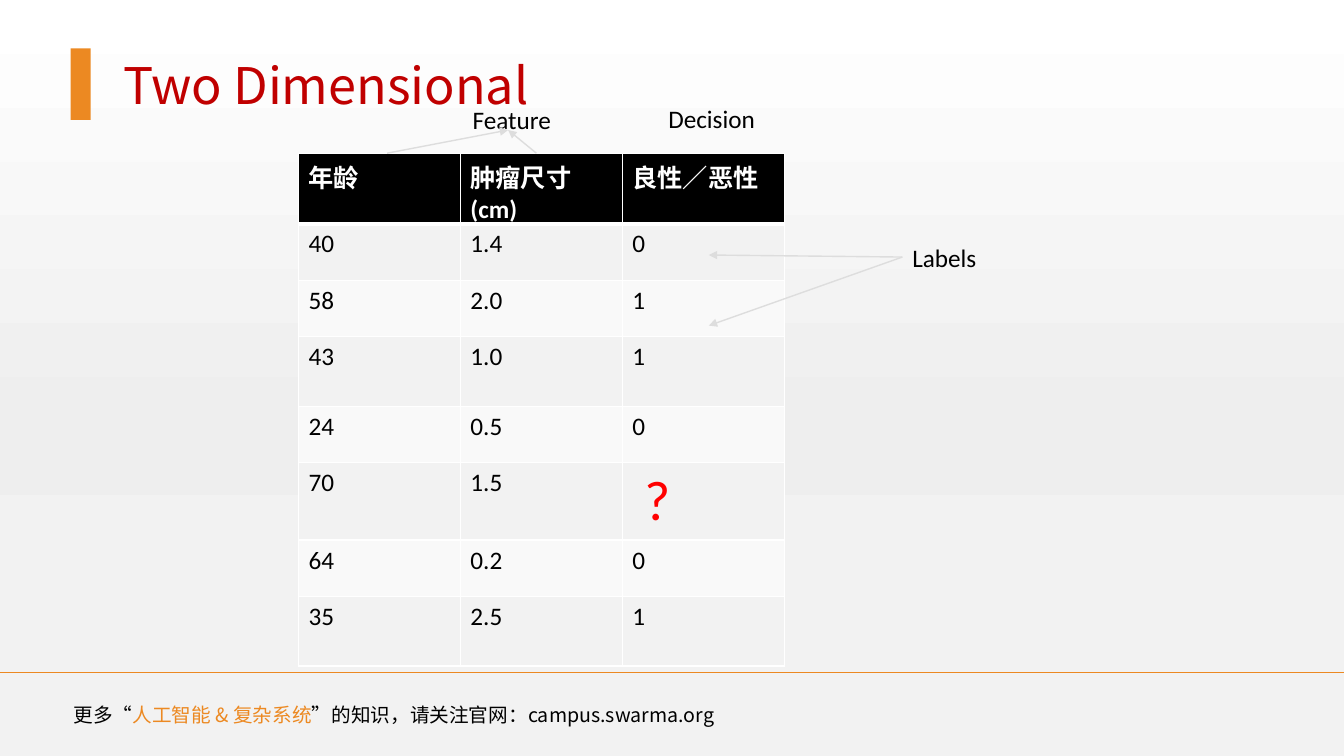
from lxml import etree
from pptx import Presentation
from pptx import util as u
from pptx.dml import color
from pptx.enum import shapes, text
from pptx.oxml import ns

CJK = "Noto Sans CJK SC"
LATIN = "Calibri"
ORANGE = "EC8922"
PALE = "DDDDDD"
ROW_HEIGHTS = [0.56, 0.56, 0.56, 0.69, 0.56, 0.69, 0.56, 0.69]
ROWS = [
    ("年龄", "肿瘤尺寸(cm)", "良性／恶性"),
    ("40", "1.4", "0"),
    ("58", "2.0", "1"),
    ("43", "1.0", "1"),
    ("24", "0.5", "0"),
    ("70", "1.5", "?"),
    ("64", "0.2", "0"),
    ("35", "2.5", "1"),
]


def rgb(hex_color):
    """Return the colour for a hex string."""
    return color.RGBColor.from_string(hex_color)


def sub(parent, tag, **attrs):
    """Append a DrawingML element to a parent."""
    el = etree.SubElement(parent, ns.qn(tag))
    for name, value in attrs.items():
        el.set(name, str(value))
    return el


def add_run(p, words, size, hex_color="000000", font=LATIN, bold=False):
    """Add one formatted run to a paragraph."""
    r = p.add_run()
    r.text = words
    r.font.size = u.Pt(size)
    r.font.name = font
    r.font.bold = bold
    r.font.color.rgb = rgb(hex_color)
    sub(r.font._element, "a:ea", typeface=CJK)


def add_background(s):
    """Fill the background with a soft vertical grey gradient."""
    fill = s.background.fill
    fill.gradient()
    fill.gradient_angle = 270
    stops = s.element.find(".//" + ns.qn("a:gsLst"))
    for old in list(stops):
        stops.remove(old)
    for pos, hex_color in ((0, "FFFFFF"), (57, "EEEEEE"), (74, "F2F2F2"), (100, "F2F2F2")):
        sub(sub(stops, "a:gs", pos=pos * 1000), "a:srgbClr", val=hex_color)


def add_title(s, words):
    """Place the title with its orange bar."""
    sp = s.shapes.title
    sp.left, sp.top, sp.width, sp.height = map(u.Inches, (1.12, 0.48, 8.02, 0.71))
    tf = sp.text_frame
    tf.auto_size = text.MSO_AUTO_SIZE.NONE
    tf.vertical_anchor = text.MSO_ANCHOR.MIDDLE
    p = tf.paragraphs[0]
    p.alignment = text.PP_ALIGN.LEFT
    add_run(p, words, 36, "C00000", CJK)
    bar = s.shapes.add_shape(shapes.MSO_SHAPE.RECTANGLE, *map(u.Inches, (0.7, 0.48, 0.2, 0.71)))
    bar.shadow.inherit = False
    bar.fill.solid()
    bar.fill.fore_color.rgb = rgb(ORANGE)
    bar.line.fill.background()


def add_text(s, box, runs, size=18, font=LATIN):
    """Add a one-line text box from (words, colour) runs."""
    sp = s.shapes.add_textbox(*map(u.Inches, box))
    tf = sp.text_frame
    tf.word_wrap = True
    for words, hex_color in runs:
        add_run(tf.paragraphs[0], words, size, hex_color, font)
    return sp


def add_line(s, start, end, hex_color, arrow=False):
    """Add a straight line, with an arrowhead at its end if asked."""
    ln = s.shapes.add_connector(shapes.MSO_CONNECTOR.STRAIGHT, *map(u.Inches, (*start, *end)))
    ln.line.color.rgb = rgb(hex_color)
    ln.line.width = u.Pt(1)
    if arrow:
        sub(ln.line._get_or_add_ln(), "a:tailEnd", type="triangle")
    sub(ln._element.spPr, "a:effectLst")
    return ln


def format_cell(cell, words, row):
    """Write, border and fill one table cell."""
    header = row == 0
    tc_pr = cell._tc.get_or_add_tcPr()
    for side in "LRTB":
        thick = (header and side == "B") or (row == 1 and side == "T")
        ln = sub(tc_pr, f"a:ln{side}", w=u.Pt(3 if thick else 1))
        sub(sub(ln, "a:solidFill"), "a:srgbClr", val="FFFFFF")
    cell.fill.solid()
    cell.fill.fore_color.rgb = rgb("000000" if header else "F2F2F2" if row % 2 else "F9F9F9")
    p = cell.text_frame.paragraphs[0]
    if words == "?":
        cell.margin_left = u.Inches(0.22)
        add_run(p, words, 40, "FF0000")
    else:
        add_run(p, words, 18, "FFFFFF" if header else "000000", bold=header)


def add_data_table(s):
    """Add the tumour table."""
    frame = s.shapes.add_table(len(ROWS), 3, *map(u.Inches, (2.96, 1.52, 4.82, sum(ROW_HEIGHTS))))
    tbl = frame.table
    tbl.horz_banding = False
    for col in tbl.columns:
        col.width = u.Inches(4.82 / 3)
    for i, (height, row) in enumerate(zip(ROW_HEIGHTS, ROWS)):
        tbl.rows[i].height = u.Inches(height)
        for j, words in enumerate(row):
            format_cell(tbl.cell(i, j), words, i)


def main():
    """Build and save the slide."""
    prs = Presentation()
    prs.slide_width, prs.slide_height = u.Inches(13.33), u.Inches(7.5)
    s = prs.slides.add_slide(prs.slide_layouts[5])
    add_background(s)
    add_title(s, "Two Dimensional")
    add_line(s, (0, 6.67), (13.33, 6.67), ORANGE)
    footer = [("更多“", "000000"), ("人工智能 & 复杂系统", ORANGE),
              ("”的知识，请关注官网：campus.swarma.org", "000000")]
    add_text(s, (0.63, 6.92, 7.85, 0.34), footer, 14, CJK)
    add_data_table(s)
    labels = add_text(s, (8.95, 2.35, 1.12, 0.4), [("Labels", "000000")])
    for y in (2.53, 3.23):
        add_line(s, (8.95, 2.55), (7.03, y), PALE, True).begin_connect(labels, 1)
    add_text(s, (4.59, 0.99, 1.9, 0.4), [("Feature", "000000")])
    for x in (3.84, 5.32):
        add_line(s, (x, 1.52), (5.04, 1.29), PALE, True)
    add_text(s, (6.53, 0.98, 1.95, 0.4), [("Decision", "000000")])
    prs.save("out.pptx")


if __name__ == "__main__":
    main()
